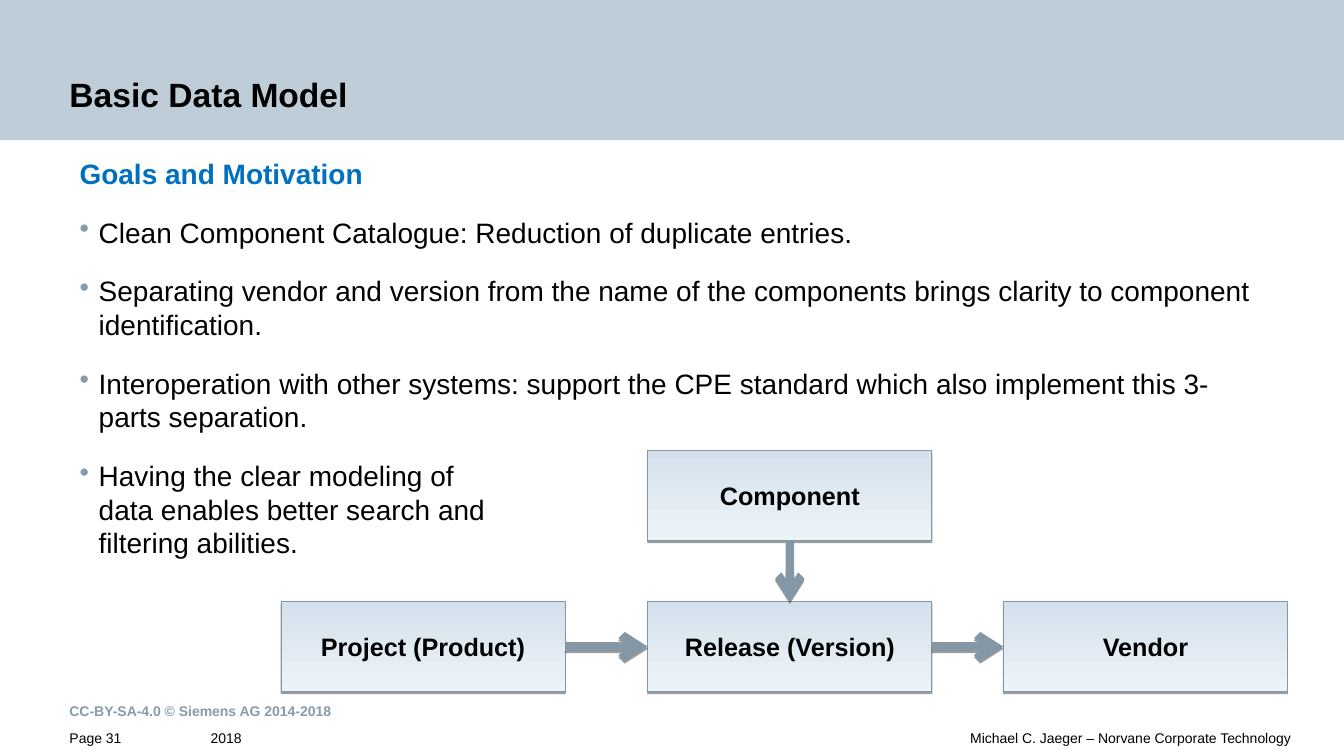
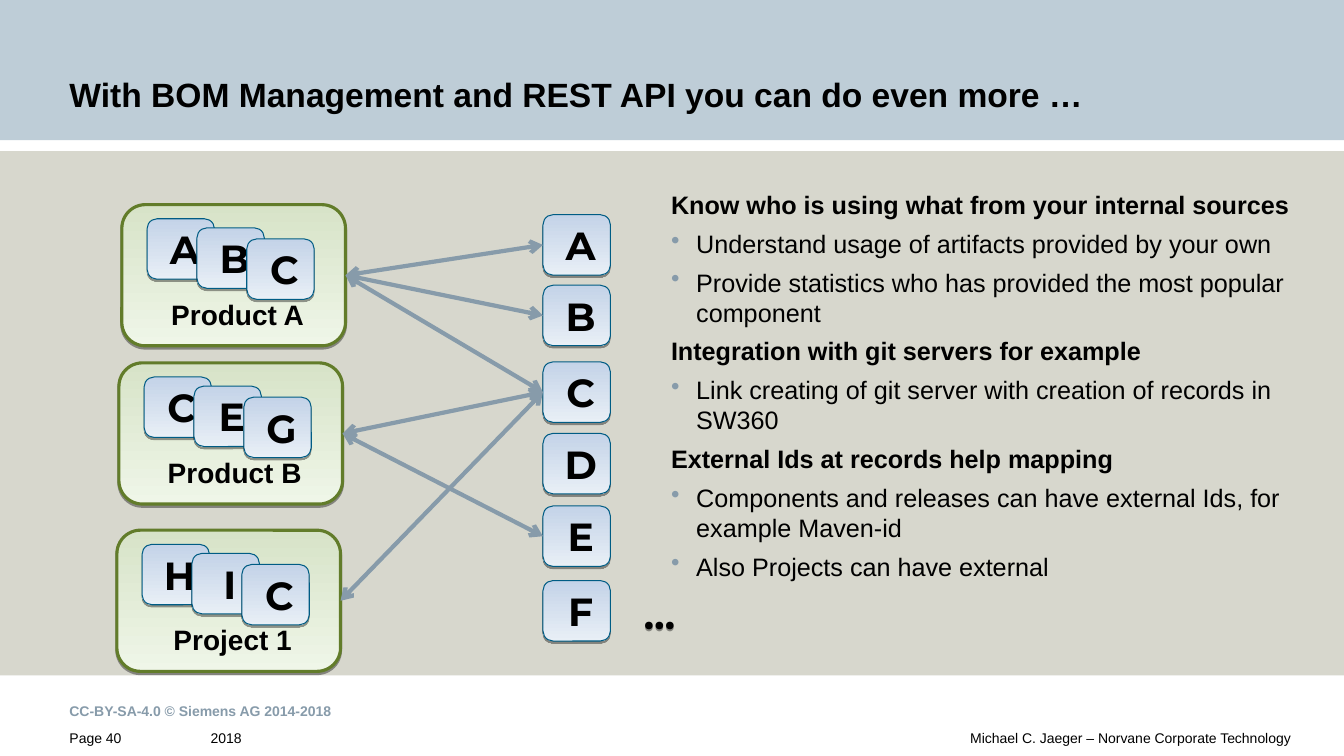
"""Builds two slides on a component data model and its use in products."""
from dataclasses import dataclass

from lxml import etree
from pptx import Presentation
from pptx import util as u
from pptx.dml.color import RGBColor
from pptx.enum import shapes, text
from pptx.oxml.ns import qn


@dataclass(frozen=True)
class Theme:
    """Colours, fonts, type sizes and line widths."""
    black: str = "000000"
    accent: str = "0070C0"
    slate: str = "879BAA"
    band: str = "BECDD7"
    panel: str = "D7D7CD"
    entity_fill: tuple = ("D4E0EC", "EDF4F8")
    entity_line: str = "8397A7"
    group_fill: tuple = ("D7E3C8", "EFF6E8")
    group_line: str = "627C2A"
    tile_fill: tuple = ("C4D3E8", "E8EFF6")
    tile_line: str = "005C84"
    body_font: str = "Arial"
    tile_font: str = "Montserrat"
    title_size: int = 24
    body_size: int = 20
    label_size: int = 18
    tile_size: int = 28
    footer_size: int = 10
    thin: float = 0.75
    medium: float = 2.25
    thick: int = 3
    heavy: int = 6


THEME = Theme()
WIDTH, HEIGHT = u.Inches(13.34), u.Inches(7.5)
MARGIN, RIGHT_EDGE = 5.17, 96.03
BAND_HEIGHT = 18.53
FOOTER_ROW = 96.27
ENTITY_SIZE = (21.14, 11.87)
GROUP_SIZE = (16.64, 18.67)
TILE_SIZE = (5.02, 8)
TILE_INSETS = (0.16, 0.08, 0.08, 0.08)
GROUP_INSETS = (0.16, 0, 0.08, 0.08)
RECTANGLE = shapes.MSO_SHAPE.RECTANGLE
ROUNDED = shapes.MSO_SHAPE.ROUNDED_RECTANGLE
CENTER = text.PP_ALIGN.CENTER
MIDDLE = text.MSO_ANCHOR.MIDDLE
BOTTOM = text.MSO_ANCHOR.BOTTOM


def area(left, top, width, height):
    """Turns percentages of the slide's size into lengths."""
    return [round(share * side / 100) for share, side
            in zip((left, top, width, height), (WIDTH, HEIGHT) * 2)]


def color(value):
    """Reads a hexadecimal colour."""
    return RGBColor.from_string(value)


def add_child(parent, tag, **attributes):
    """Appends a drawing element."""
    child = etree.SubElement(parent, qn(tag))
    for name, value in attributes.items():
        child.set(name, str(value))
    return child


def cast_shadow(shape):
    """Gives a shape a short hard shadow below it."""
    shape.shadow.inherit = False
    effects = shape._element.spPr.find(qn("a:effectLst"))
    shadow = add_child(effects, "a:outerShdw", blurRad=0, dist=u.Pt(1.6),
                       dir=5400000, rotWithShape=0)
    shade = add_child(shadow, "a:srgbClr", val=THEME.black)
    add_child(shade, "a:alpha", val=38000)


def set_frame(shape, anchor, insets=(0, 0, 0, 0)):
    """Sets wrapping, anchor and insets, and returns the text frame."""
    frame = shape.text_frame
    frame.word_wrap = True
    frame.vertical_anchor = anchor
    (frame.margin_left, frame.margin_top, frame.margin_right,
     frame.margin_bottom) = map(u.Inches, insets)
    return frame


def write(frame, content, *, size=THEME.body_size, bold=False, ink=THEME.black,
          font=THEME.body_font, align=None, before=0, after=0, spacing=None,
          bullet_indent=None):
    """Adds one formatted paragraph to a text frame."""
    paragraph = frame.paragraphs[0]
    if paragraph.runs:
        paragraph = frame.add_paragraph()
        paragraph.space_before = u.Pt(before)
    paragraph.text = content
    paragraph.space_after = u.Pt(after)
    paragraph.alignment = align
    if spacing:
        paragraph.line_spacing = spacing
    if bullet_indent:
        properties = paragraph._p.get_or_add_pPr()
        indent = u.Inches(bullet_indent)
        properties.set("marL", str(indent))
        properties.set("indent", str(-indent))
        add_child(add_child(properties, "a:buClr"), "a:srgbClr", val=THEME.slate)
        add_child(properties, "a:buChar", char="•")
    for run in paragraph.runs:
        run.font.name, run.font.size, run.font.bold = font, u.Pt(size), bold
        run.font.color.rgb = color(ink)


def add_text(slide, place, anchor=text.MSO_ANCHOR.TOP, insets=(0, 0, 0, 0)):
    """Adds a text box and returns its frame."""
    return set_frame(slide.shapes.add_textbox(*area(*place)), anchor, insets)


def add_panel(slide, top, height, fill):
    """Adds a plain band across the slide."""
    panel = slide.shapes.add_shape(RECTANGLE, *area(0, top, 100, height))
    panel.shadow.inherit = False
    panel.fill.solid()
    panel.fill.fore_color.rgb = color(fill)
    panel.line.fill.background()


def add_box(slide, kind, place, fill, line, line_width):
    """Adds a shadowed shape with a vertical gradient."""
    box = slide.shapes.add_shape(kind, *area(*place))
    box.fill.gradient()
    box.fill.gradient_angle = 270
    for stop, position, value in zip(box.fill.gradient_stops, (0, 1), fill):
        stop.position = position
        stop.color.rgb = color(value)
    box.line.color.rgb = color(line)
    box.line.width = u.Pt(line_width)
    cast_shadow(box)
    return box


def add_entity(slide, left, top, label):
    """Adds a labelled box of the data model."""
    box = add_box(slide, RECTANGLE, (left, top, *ENTITY_SIZE),
                  THEME.entity_fill, THEME.entity_line, THEME.thin)
    write(set_frame(box, MIDDLE, (0.08,) * 4), label,
          size=THEME.label_size, bold=True, align=CENTER)
    return box


def write_letter(frame, letter):
    """Writes a tile's letter."""
    write(frame, letter, size=THEME.tile_size, bold=True,
          font=THEME.tile_font, align=CENTER)


def add_tile(slide, left, top, letter):
    """Adds a lettered component tile."""
    tile = add_box(slide, ROUNDED, (left, top, *TILE_SIZE),
                   THEME.tile_fill, THEME.tile_line, THEME.thin)
    write_letter(set_frame(tile, MIDDLE, TILE_INSETS), letter)
    return tile


def add_group(slide, left, top, label, letters):
    """Adds a product box holding staggered tiles."""
    box = add_box(slide, ROUNDED, (left, top, *GROUP_SIZE),
                  THEME.group_fill, THEME.group_line, THEME.medium)
    write(set_frame(box, BOTTOM, GROUP_INSETS), label, bold=True, align=CENTER)
    for index, (letter, drop) in enumerate(zip(letters, (1.87, 3.07, 4.53))):
        add_tile(slide, left + 1.87 + 3.71 * index, top + drop, letter)
    return box


def add_arrow(slide, start, start_site, end, end_site, ink, width,
              ends=("tailEnd",), shadow=False):
    """Joins two shapes with an arrow."""
    arrow = slide.shapes.add_connector(shapes.MSO_CONNECTOR.STRAIGHT, 0, 0, 0, 0)
    arrow.begin_connect(start, start_site)
    arrow.end_connect(end, end_site)
    arrow.line.color.rgb = color(ink)
    arrow.line.width = u.Pt(width)
    for end_name in ends:
        add_child(arrow.line._get_or_add_ln(), f"a:{end_name}", type="arrow")
    effects = add_child(arrow._element.spPr, "a:effectLst")
    if shadow:
        outer = add_child(effects, "a:outerShdw", blurRad=0, dist=u.Pt(1.6),
                          dir=5400000, rotWithShape=0)
        add_child(add_child(outer, "a:srgbClr", val=THEME.black),
                  "a:alpha", val=38000)


def add_slide(presentation, title, page):
    """Adds a slide with the shared band, title and footer."""
    slide = presentation.slides.add_slide(presentation.slide_layouts[6])
    add_panel(slide, 0, BAND_HEIGHT, THEME.band)
    write(add_text(slide, (MARGIN, 5.73, 77.44, 9.33), BOTTOM), title,
          size=THEME.title_size, bold=True)
    write(add_text(slide, (MARGIN, 92, 50, 4.13), MIDDLE),
          "CC-BY-SA-4.0 © Siemens AG 2014-2018",
          size=THEME.footer_size, bold=True, ink=THEME.slate)
    footers = (
        (MARGIN, 9.3, f"Page {page}", None),
        (15.67, 16.57, "2018", None),
        (RIGHT_EDGE - 65, 65, "Michael C. Jaeger – Norvane Corporate Technology",
         text.PP_ALIGN.RIGHT),
    )
    for left, width, content, align in footers:
        write(add_text(slide, (left, FOOTER_ROW, width, 3.73)), content,
              size=THEME.footer_size, align=align, spacing=1.1)
    return slide


def build_data_model(presentation):
    """Builds the slide on the data model."""
    slide = add_slide(presentation, "Basic Data Model", 31)
    frame = add_text(slide, (5.92, 20.67, 87.56, 53.87))
    write(frame, "Goals and Motivation", bold=True, ink=THEME.accent, after=12)
    for point in (
        "Clean Component Catalogue: Reduction of duplicate entries.",
        "Separating vendor and version from the name of the components brings "
        "clarity to component identification.",
        "Interoperation with other systems: support the CPE standard which "
        "also implement this 3-parts separation.",
        "Having the clear modeling of\ndata enables better search and\n"
        "filtering abilities.",
    ):
        write(frame, point, before=6, after=12, bullet_indent=0.19)

    upper_row, lower_row = 59.6, 79.6
    project = add_entity(slide, 20.91, lower_row, "Project (Product)")
    release = add_entity(slide, 48.2, lower_row, "Release (Version)")
    vendor = add_entity(slide, 74.66, lower_row, "Vendor")
    component = add_entity(slide, 48.2, upper_row, "Component")
    for start, start_site, end, end_site in (
        (component, 2, release, 0), (project, 3, release, 1), (release, 3, vendor, 1),
    ):
        add_arrow(slide, start, start_site, end, end_site,
                  THEME.entity_line, THEME.heavy, shadow=True)


def build_usage(presentation):
    """Builds the slide on component usage."""
    slide = add_slide(
        presentation, "With BOM Management and REST API you can do even more …", 40)
    add_panel(slide, 20, 69.33, THEME.panel)
    catalogue = {
        letter: add_tile(slide, 40.4, top, letter)
        for letter, top in zip("ABCDEF", (28.4, 37.73, 47.87, 57.33, 66.93, 76.8))
    }
    more = slide.shapes.add_textbox(*area(46.25, 77.2, *TILE_SIZE))
    cast_shadow(more)
    write_letter(set_frame(more, MIDDLE, TILE_INSETS), "…")

    for left, top, label, letters, used in (
        (9.07, 27.07, "Product A", "ABC", "ABC"),
        (8.85, 48, "Product B", "CEG", "CE"),
        (8.7, 70.13, "Project 1", "HIC", "C"),
    ):
        group = add_group(slide, left, top, label, letters)
        for letter in used:
            add_arrow(slide, catalogue[letter], 1, group, 3, THEME.slate,
                      THEME.thick, ends=("headEnd", "tailEnd"))

    frame = add_text(slide, (49.93, 25.07, 50.07, 51.73))
    for heading, points in (
        ("Know who is using what from your internal sources",
         ("Understand usage of artifacts provided by your own",
          "Provide statistics who has provided the most popular component")),
        ("Integration with git servers for example",
         ("Link creating of git server with creation of records in SW360",)),
        ("External Ids at records help mapping",
         ("Components and releases can have external Ids, for example Maven-id",
          "Also Projects can have external")),
    ):
        write(frame, heading, size=THEME.label_size, bold=True, before=6)
        for point in points:
            write(frame, point, size=THEME.label_size, before=6, bullet_indent=0.25)


def main():
    """Builds and saves the presentation."""
    presentation = Presentation()
    presentation.slide_width, presentation.slide_height = WIDTH, HEIGHT
    build_data_model(presentation)
    build_usage(presentation)
    presentation.save("out.pptx")


if __name__ == "__main__":
    main()
